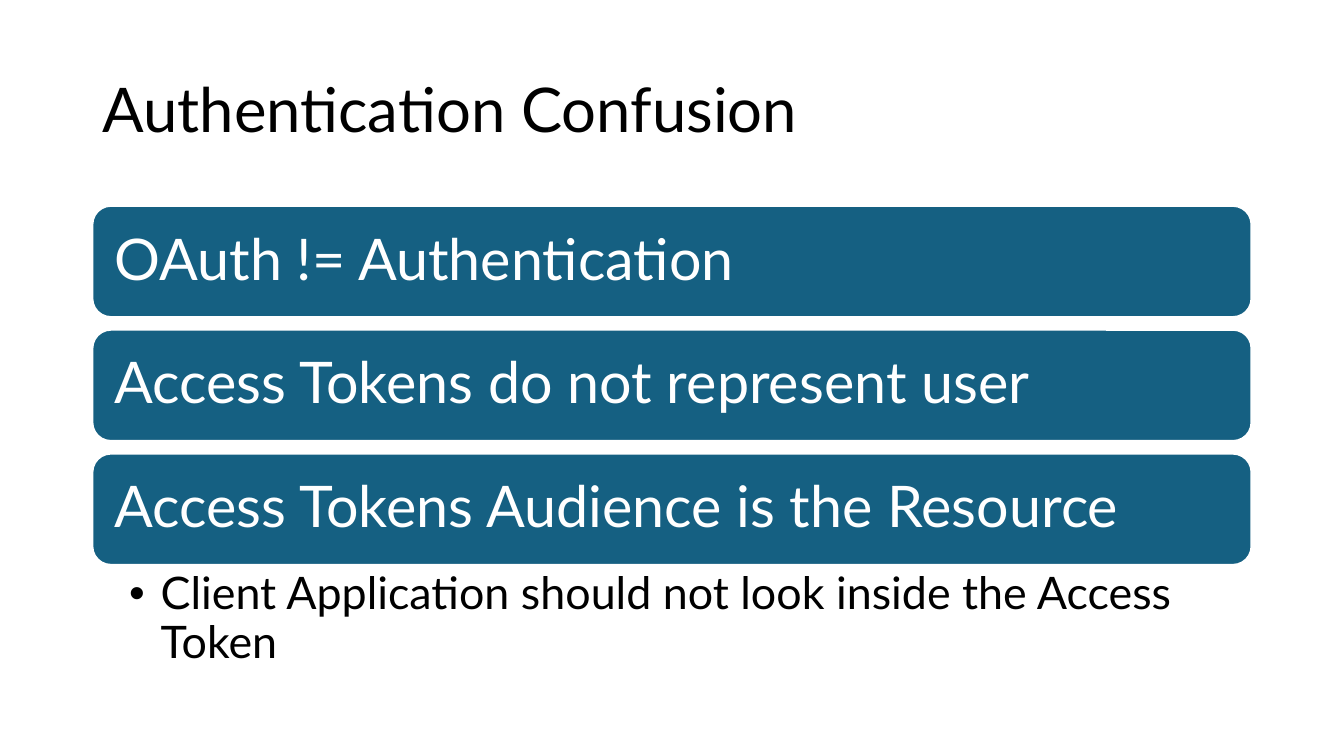
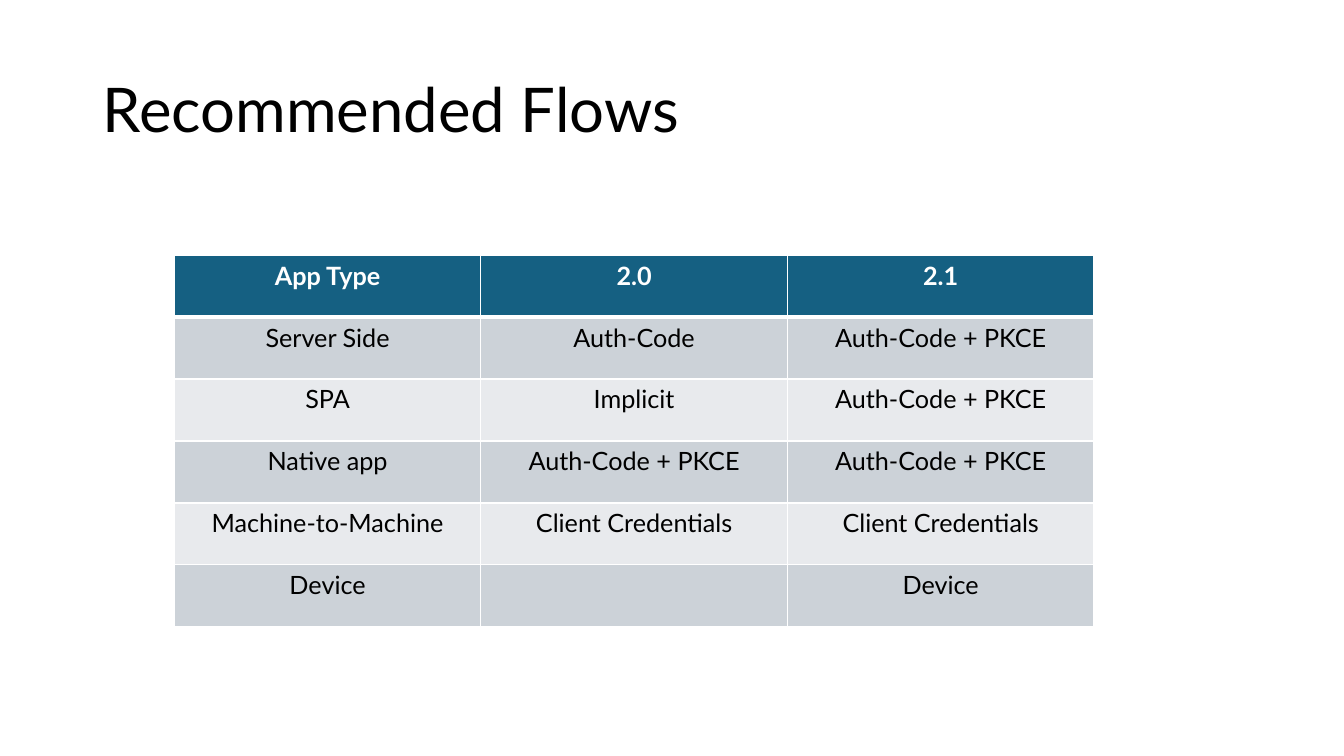
"""Build two slides on OAuth: authentication confusion and recommended flows."""
from lxml.etree import SubElement
from pptx import Presentation
from pptx.dml.color import RGBColor
from pptx.enum.shapes import MSO_SHAPE as Shape
from pptx.enum.text import MSO_ANCHOR as Anchor, MSO_AUTO_SIZE as AutoSize, PP_ALIGN as Align
from pptx.oxml import parse_xml
from pptx.oxml.ns import nsdecls, qn
from pptx.util import Pt

PX = 9525
FONT = "Lato"
COLORS = {
    name: RGBColor.from_string(value)
    for name, value in {
        "teal": "156082",
        "white": "FFFFFF",
        "black": "000000",
        "band_dark": "CCD2D8",
        "band_light": "E8EAED",
    }.items()
}
LEFT, WIDTH = 88, 1104


def format_paragraph(paragraph, size, color, align=Align.LEFT, spacing=0.9, bold=False):
    paragraph.alignment = align
    paragraph.line_spacing = spacing
    paragraph.font.name = FONT
    paragraph.font.size = Pt(size)
    paragraph.font.bold = bold
    paragraph.font.color.rgb = COLORS[color]


def add_titled_slide(presentation, text):
    slide = presentation.slides.add_slide(presentation.slide_layouts[5])
    title = slide.shapes.title
    title.left, title.top, title.width, title.height = (
        value * PX for value in (LEFT, 38, WIDTH, 139)
    )
    frame = title.text_frame
    frame.text = text
    frame.auto_size = AutoSize.NONE
    frame.vertical_anchor = Anchor.MIDDLE
    format_paragraph(frame.paragraphs[0], 44, "black")
    return slide


presentation = Presentation()
presentation.slide_width = 1280 * PX
presentation.slide_height = 720 * PX

slide = add_titled_slide(presentation, "Authentication Confusion")
statements = [
    "OAuth != Authentication",
    "Access Tokens do not represent user",
    "Access Tokens Audience is the Resource",
]
bar_top, bar_height, bar_pitch = 196, 106, 118
for index, statement in enumerate(statements):
    bar = slide.shapes.add_shape(
        Shape.ROUNDED_RECTANGLE,
        LEFT * PX, (bar_top + index * bar_pitch) * PX, WIDTH * PX, bar_height * PX,
    )
    bar.shadow.inherit = False
    bar.fill.solid()
    bar.fill.fore_color.rgb = COLORS["teal"]
    bar.line.color.rgb = COLORS["white"]
    bar.line.width = Pt(1.5)
    frame = bar.text_frame
    frame.word_wrap = True
    frame.vertical_anchor = Anchor.MIDDLE
    frame.margin_left = frame.margin_right = 16 * PX
    frame.margin_top = frame.margin_bottom = 16 * PX
    frame.text = statement
    format_paragraph(frame.paragraphs[0], 41, "white")

detail = slide.shapes.add_textbox(LEFT * PX, 538 * PX, WIDTH * PX, 107 * PX)
frame = detail.text_frame
frame.word_wrap = True
frame.margin_left, frame.margin_right = 35 * PX, 31 * PX
frame.margin_top = frame.margin_bottom = 6 * PX
frame.text = "Client Application should not look inside the Access Token"
paragraph = frame.paragraphs[0]
format_paragraph(paragraph, 32, "black")
properties = paragraph._p.get_or_add_pPr()
properties.set("marL", str(30 * PX))
properties.set("indent", str(-30 * PX))
SubElement(properties, qn("a:buFont")).set("typeface", "Arial")
SubElement(properties, qn("a:buChar")).set("char", "•")
properties.append(properties.find(qn("a:defRPr")))

slide = add_titled_slide(presentation, "Recommended Flows")
flows = [
    ("App Type", "2.0", "2.1"),
    ("Server Side", "Auth-Code", "Auth-Code + PKCE"),
    ("SPA", "Implicit", "Auth-Code + PKCE"),
    ("Native app", "Auth-Code + PKCE", "Auth-Code + PKCE"),
    ("Machine-to-Machine", "Client Credentials", "Client Credentials"),
    ("Device", "", "Device"),
]
column_width, row_height = 292, 59
table = slide.shapes.add_table(
    len(flows), len(flows[0]), 166 * PX, 243 * PX,
    len(flows[0]) * column_width * PX, len(flows) * row_height * PX,
).table
for row_index, row in enumerate(flows):
    header = row_index == 0
    fill = "teal" if header else "band_dark" if row_index % 2 else "band_light"
    for column_index, text in enumerate(row):
        cell = table.cell(row_index, column_index)
        cell.text = text
        format_paragraph(
            cell.text_frame.paragraphs[0], 18, "white" if header else "black",
            Align.CENTER, 1, header,
        )
        cell.fill.solid()
        cell.fill.fore_color.rgb = COLORS[fill]
        thick_side = {0: "lnB", 1: "lnT"}.get(row_index)
        for position, side in enumerate(("lnL", "lnR", "lnT", "lnB")):
            width = Pt(3 if side == thick_side else 1)
            border = parse_xml(
                f'<a:{side} {nsdecls("a")} w="{width}"><a:solidFill>'
                f'<a:srgbClr val="{COLORS["white"]}"/></a:solidFill></a:{side}>'
            )
            cell._tc.get_or_add_tcPr().insert(position, border)

presentation.save("out.pptx")
